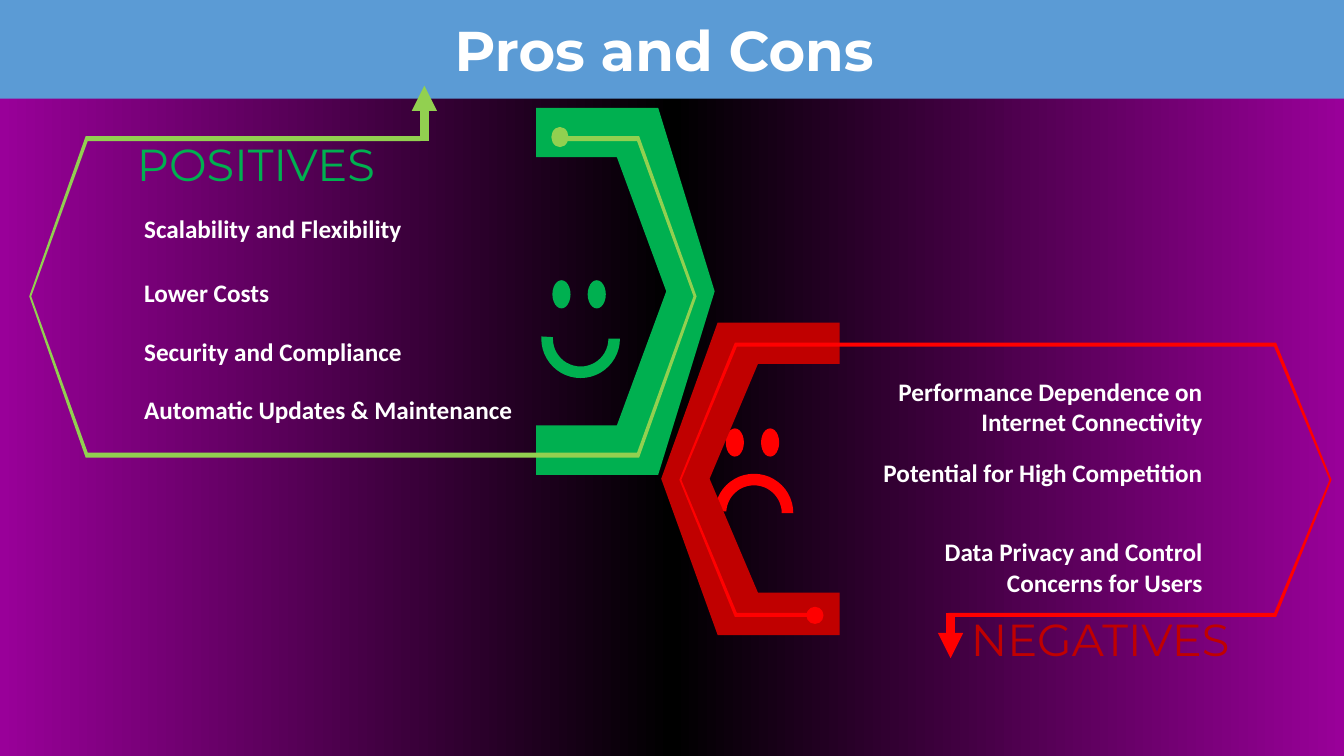
from copy import deepcopy
from dataclasses import dataclass

from pptx import Presentation
from pptx import util as u
from pptx.dml.color import RGBColor
from pptx.enum import shapes, text
from pptx.oxml import ns
from lxml import etree


@dataclass(frozen=True)
class Theme:
    bar: str = "5B9BD5"
    edge: str = "990099"
    middle: str = "000000"
    light: str = "FFFFFF"
    green: str = "00B050"
    lime: str = "92D050"
    crimson: str = "C00000"
    red: str = "FF0000"
    heading_font: str = "Montserrat"
    body_font: str = "Calibri"
    title_size: int = 40
    heading_size: int = 32
    body_size: int = 18


theme = Theme()
cell = u.Inches(0.1)
presentation = Presentation()
presentation.slide_width = round(133.33 * cell)
presentation.slide_height = 75 * cell
slide = presentation.slides.add_slide(presentation.slide_layouts.get_by_name("Comparison"))


def write(shape, lines, box, gaps=(0,), font=theme.heading_font, size=theme.heading_size,
          color=theme.light, bold=False, align=text.PP_ALIGN.CENTER,
          anchor=text.MSO_ANCHOR.TOP):
    shape.left, shape.top, shape.width, shape.height = [round(n * cell) for n in box]
    frame = shape.text_frame
    frame.text = "\n".join(lines)
    frame.word_wrap = True
    frame.auto_size = text.MSO_AUTO_SIZE.NONE
    frame.vertical_anchor = anchor
    for paragraph, gap in zip(frame.paragraphs, gaps):
        properties = paragraph._p.get_or_add_pPr()
        properties.set("marL", "0")
        properties.set("indent", "0")
        etree.SubElement(properties, ns.qn("a:buNone"))
        paragraph.alignment = align
        paragraph.space_before = u.Pt(gap)
        paragraph.font.name = font
        paragraph.font.size = u.Pt(size)
        paragraph.font.bold = bold
        paragraph.font.color.rgb = RGBColor.from_string(color)


def draw(outline, color, box=None):
    if box:
        shape = slide.shapes.add_shape(outline, *[round(n * cell) for n in box])
    else:
        points = [(round(x * cell), round(y * cell)) for x, y in outline]
        builder = slide.shapes.build_freeform(*points[0])
        builder.add_line_segments(points[1:], close=True)
        shape = builder.convert_to_shape()
    shape.shadow.inherit = False
    shape.fill.solid()
    shape.fill.fore_color.rgb = RGBColor.from_string(color)
    shape.line.fill.background()
    return shape


background = slide.background.fill
background.gradient()
background.gradient_angle = 0
stops = slide.element.find(".//" + ns.qn("a:gsLst"))
stops.append(deepcopy(stops[0]))
for stop, position, color in zip(background.gradient_stops, (0, 0.5, 1),
                                 (theme.edge, theme.middle, theme.edge)):
    stop.position = position
    stop.color.rgb = RGBColor.from_string(color)

title, positive_heading, positive_list, negative_heading, negative_list = slide.placeholders
title.fill.solid()
title.fill.fore_color.rgb = RGBColor.from_string(theme.bar)
write(title, ["Pros and Cons "], (0, 0, 133.33, 9.8), size=theme.title_size, bold=True,
      anchor=text.MSO_ANCHOR.MIDDLE)
write(positive_heading, ["POSITIVES"], (9.9, 13.1, 31, 6.4), color=theme.green)
write(negative_heading, ["NEGATIVES"], (92, 60.2, 34.3, 6.4), color=theme.crimson)
write(positive_list,
      ["Scalability and Flexibility", "Lower Costs", "Security and Compliance",
       "Automatic Updates & Maintenance"],
      (13.3, 20.7, 40, 22.1), gaps=(0, 24, 20.5, 20), font=theme.body_font,
      size=theme.body_size, bold=True, align=text.PP_ALIGN.LEFT)
write(negative_list,
      ["Performance Dependence on Internet Connectivity", "Potential for High Competition",
       "Data Privacy and Control Concerns for Users"],
      (85.8, 36.8, 34.5, 23.2), gaps=(0, 15, 35), font=theme.body_font,
      size=theme.body_size, bold=True, align=text.PP_ALIGN.RIGHT)

sides = [
    dict(face=theme.green, band=theme.green, trace=theme.lime,
         eyes=(54.8, 27.8), mouth=(53.7, 29.7), arc=(108, 1.99, 0.147), turn=180,
         chevron=(53.2, 65.3, 70.9, 61.2, 66.1), levels=(10.7, 15.6, 28.9, 42.2, 47.1),
         arrow=(42.1, 14, 8.5), dot=(54.7, 12.6, 1.7, 2),
         ends=(41.7, 54.9), outer=(8.5, 2.9, 63.4, 69.1), inner=(8.7, 3.1, 63.2, 68.8),
         rows=(13.5, 14, 29.4, 44.9, 45.4)),
    dict(face=theme.red, band=theme.crimson, trace=theme.red,
         eyes=(72, 42.5), mouth=(70.9, 47), arc=(109.99, 0, 0.147), turn=0,
         chevron=(83.3, 71.2, 65.6, 75.2, 70.4), levels=(32, 36.1, 47.5, 58.8, 63),
         arrow=(94.3, 60.8, 65.3), dot=(80, 60.2, 1.7, 1.7),
         ends=(94.1, 81.2), outer=(126.6, 132.1, 72.9, 67.4), inner=(126.4, 131.9, 73.1, 67.6),
         rows=(61.2, 60.8, 47.6, 34.4, 34)),
]

for side in sides:
    mouth = draw(shapes.MSO_SHAPE.BLOCK_ARC, side["face"], (*side["mouth"], 7.8, 7.8))
    mouth.rotation = side["turn"]
    for index, value in enumerate(side["arc"]):
        mouth.adjustments[index] = value
    eye_left, eye_top = side["eyes"]
    for eye in range(2):
        draw(shapes.MSO_SHAPE.OVAL, side["face"], (eye_left + 3.5 * eye, eye_top, 1.8, 2.8))

    edge, shoulder, tip, inner_shoulder, inner_tip = side["chevron"]
    top, inner_top, middle, inner_bottom, bottom = side["levels"]
    draw([(edge, top), (shoulder, top), (tip, middle), (shoulder, bottom), (edge, bottom),
          (edge, inner_bottom), (inner_shoulder, inner_bottom), (inner_tip, middle),
          (inner_shoulder, inner_top), (edge, inner_top)], side["band"])

    column, start, end = side["arrow"]
    arrow = slide.shapes.add_connector(
        shapes.MSO_CONNECTOR.STRAIGHT,
        *[round(n * cell) for n in (column, start, column, end)])
    arrow.line.width = u.Pt(6)
    arrow.line.color.rgb = RGBColor.from_string(side["trace"])
    etree.SubElement(arrow.line._get_or_add_ln(), ns.qn("a:tailEnd"), type="triangle")
    etree.SubElement(arrow._element.spPr, ns.qn("a:effectLst"))

    arrow_end, dot_end = side["ends"]
    far, far_tip, near, near_tip = side["outer"]
    inner_far, inner_far_tip, inner_near, inner_near_tip = side["inner"]
    first, inner_first, middle, inner_last, last = side["rows"]
    draw([(far, first), (arrow_end, first), (arrow_end, inner_first), (inner_far, inner_first),
          (inner_far_tip, middle), (inner_far, inner_last), (inner_near, inner_last),
          (inner_near_tip, middle), (inner_near, inner_first), (dot_end, inner_first),
          (dot_end, first), (near, first), (near_tip, middle), (near, last), (far, last),
          (far_tip, middle)], side["trace"])
    draw(shapes.MSO_SHAPE.OVAL, side["trace"], side["dot"])

presentation.save("out.pptx")
